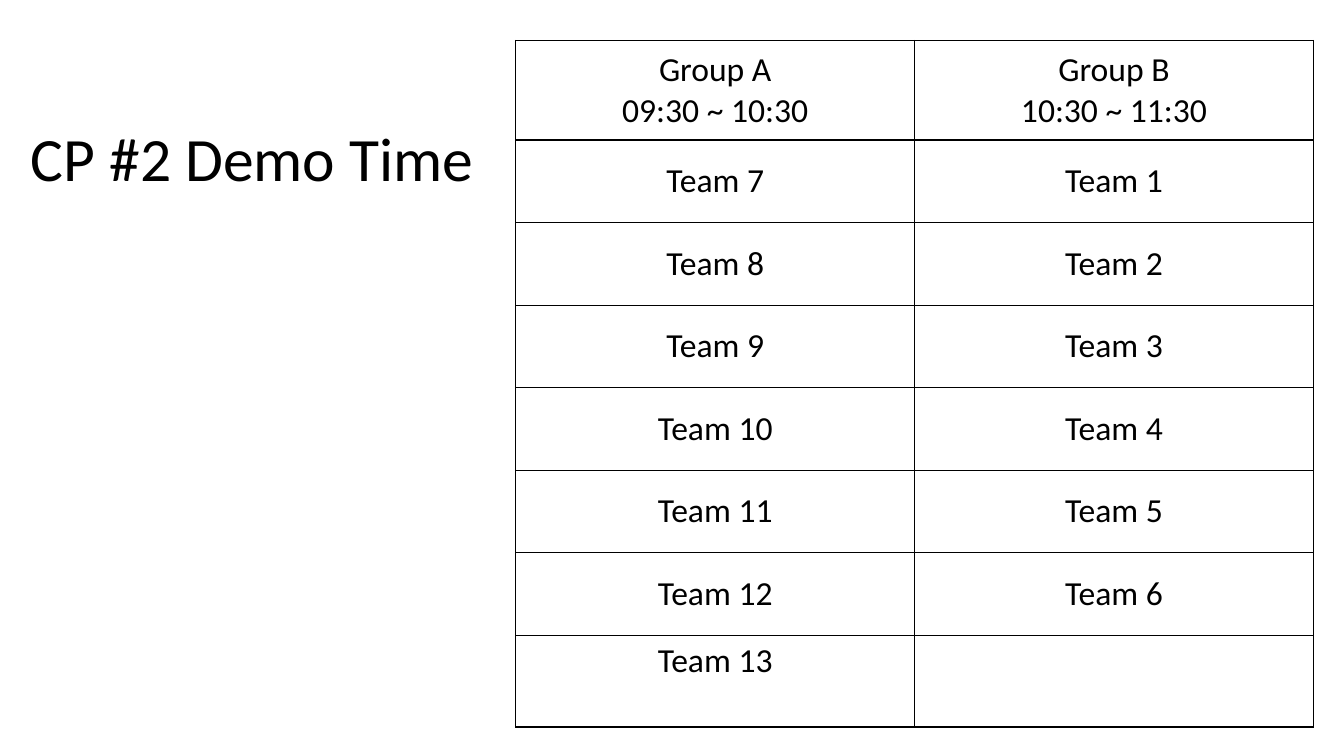
from lxml import etree
from pptx import Presentation
from pptx.dml.color import RGBColor
from pptx.enum.text import MSO_ANCHOR, PP_ALIGN
from pptx.oxml.ns import qn
from pptx.util import Cm, Pt

MIDDLE = MSO_ANCHOR.MIDDLE
TOP = MSO_ANCHOR.TOP
CENTER = PP_ALIGN.CENTER
LEFT = PP_ALIGN.LEFT

COLORS = {"ink": "000000", "paper": "FFFFFF"}
FONT = "Calibri"
HEADS = [["Group A", "09:30 ~ 10:30"], ["Group B", "10:30 ~ 11:30"]]
TEAMS = [(range(7, 14)), (range(1, 7))]
HEIGHTS = [2.51] + [2.08] * 6 + [2.31]


def color(name):
    return RGBColor.from_string(COLORS[name])


def write(frame, lines, size, align):
    for i, line in enumerate(lines):
        para = frame.paragraphs[0] if i == 0 else frame.add_paragraph()
        para.alignment = align
        run = para.add_run()
        run.text = line
        run.font.name = FONT
        run.font.size = Pt(size)
        run.font.color.rgb = color("ink")


def add_title(slide, text):
    box = slide.shapes.add_textbox(Cm(0.53), Cm(2.24), Cm(29.21), Cm(3.68))
    frame = box.text_frame
    frame.word_wrap = True
    frame.vertical_anchor = MIDDLE
    write(frame, [text], 44, LEFT)
    frame.paragraphs[0].line_spacing = 0.9


def add_border(cell):
    props = cell._tc.get_or_add_tcPr()
    for side in ("a:lnL", "a:lnR", "a:lnT", "a:lnB"):
        line = etree.SubElement(props, qn(side), w=str(Pt(1)))
        fill = etree.SubElement(line, qn("a:solidFill"))
        etree.SubElement(fill, qn("a:srgbClr"), val=COLORS["ink"])


def fill_cell(cell, lines, anchor):
    add_border(cell)
    cell.fill.solid()
    cell.fill.fore_color.rgb = color("paper")
    cell.vertical_anchor = anchor
    write(cell.text_frame, lines, 24, CENTER)


def add_times(slide):
    count = len(HEIGHTS)
    frame = slide.shapes.add_table(
        count, len(HEADS), Cm(13), Cm(1.02), Cm(20.1), Cm(sum(HEIGHTS)))
    table = frame.table
    table.first_row = False
    table.horz_banding = False
    for row, height in zip(table.rows, HEIGHTS):
        row.height = Cm(height)
    for col, (head, teams) in enumerate(zip(HEADS, TEAMS)):
        table.columns[col].width = Cm(10.05)
        texts = [head] + [[f"Team {team}"] for team in teams]
        texts += [[]] * (count - len(texts))
        for row, lines in enumerate(texts):
            anchor = TOP if row == count - 1 else MIDDLE
            fill_cell(table.cell(row, col), lines, anchor)


def main():
    deck = Presentation()
    deck.slide_width = Cm(33.87)
    deck.slide_height = Cm(19.05)
    slide = deck.slides.add_slide(deck.slide_layouts[6])
    add_title(slide, "CP #2 Demo Time")
    add_times(slide)
    deck.save("out.pptx")


if __name__ == "__main__":
    main()
